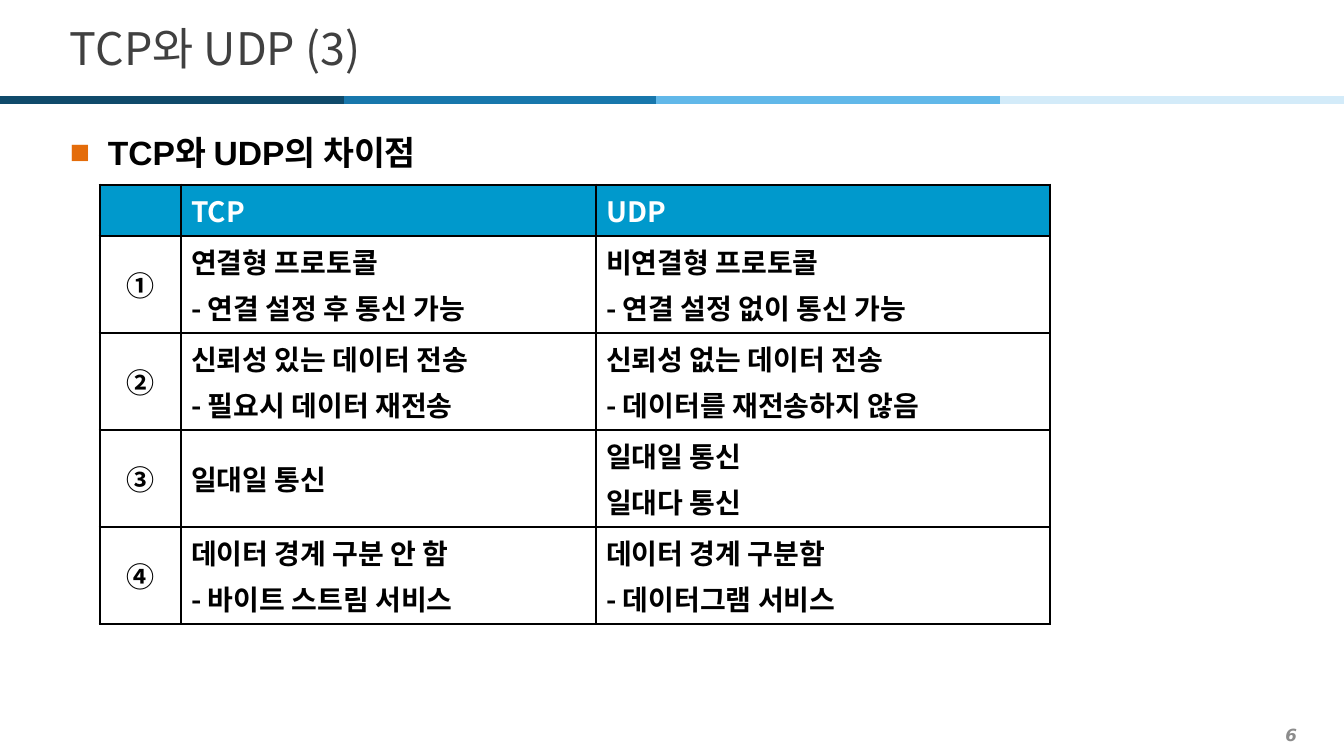
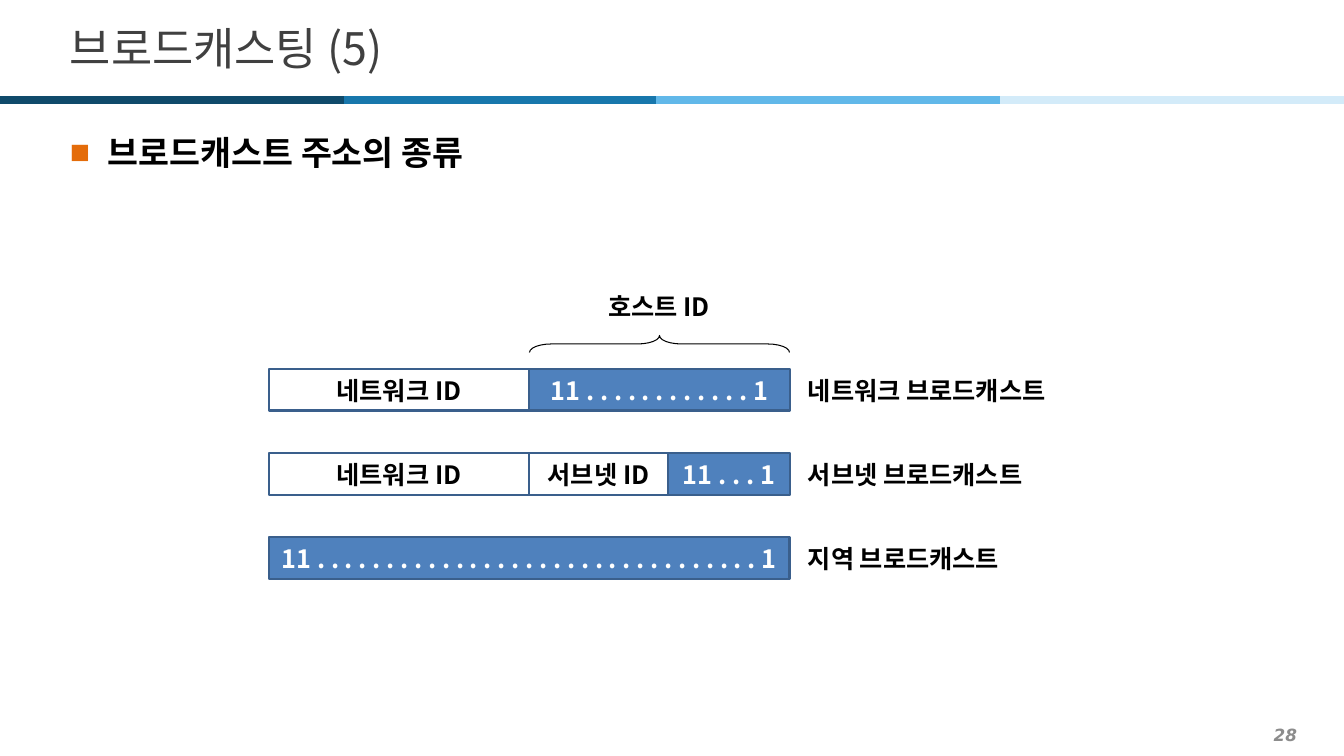
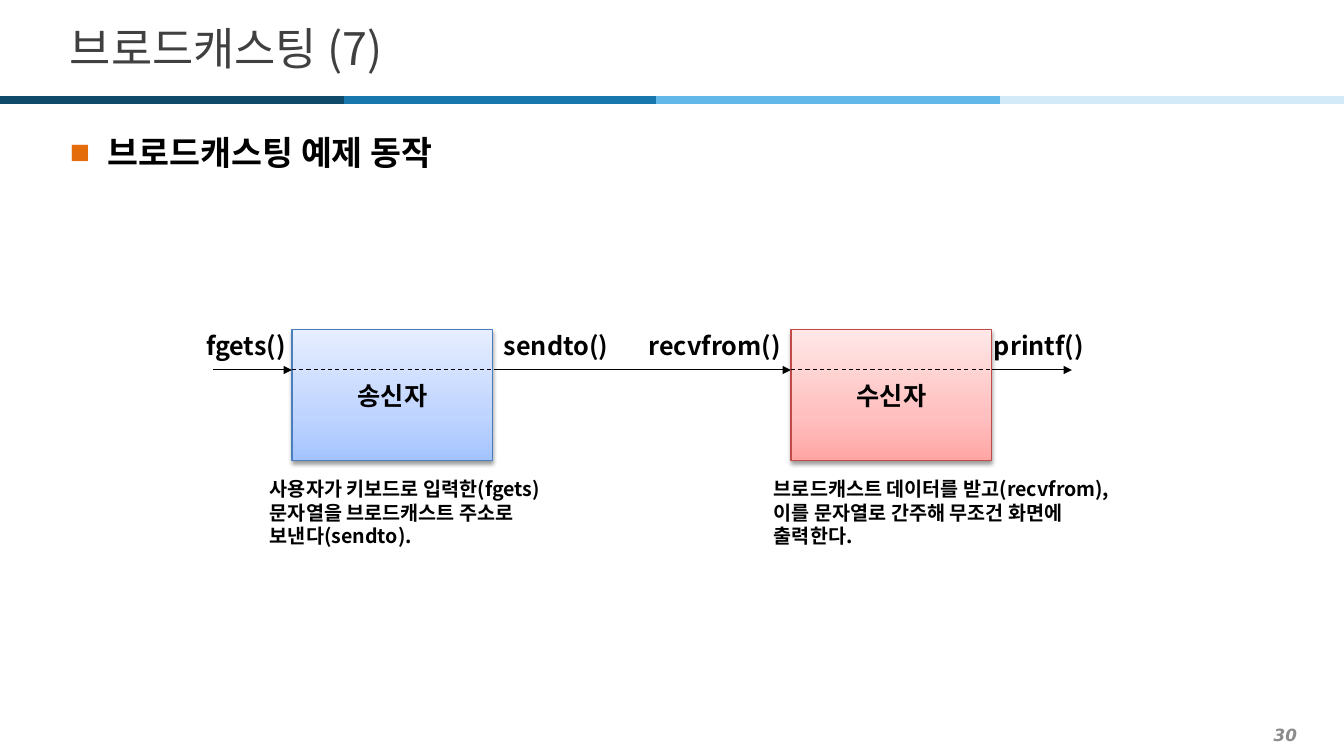
import pptx
import pptx.util
import pptx.dml.color
import pptx.enum.dml
import pptx.enum.shapes
import pptx.enum.text
import pptx.oxml.ns
import itertools
import lxml.etree

PX = 914400 / 100.8
NOTO = "Noto Sans CJK KR"
HUE = dict(
    ink="000000", white="FFFFFF", title="404040", page="8C8C8C", mark="E46C0A",
    head="0099CC", block="4F81BD", edge="3A5F8C",
)
BANDS = [(0, 344, "0F4A6B"), (344, 656, "1877AC"), (656, 1000, "61B8E9"), (1000, 1344, "D3EBF9")]
HEADS = [
    ("TCP와 UDP (3)", "TCP와 UDP의 차이점", "6"),
    ("브로드캐스팅 (5)", "브로드캐스트 주소의 종류", "28"),
    ("브로드캐스팅 (7)", "브로드캐스팅 예제 동작", "30"),
]
COLS = [81, 415, 454]
ROWS = [51, 97, 97, 97, 97]
CELLS = [
    ("", "TCP", "UDP"),
    ("①", "연결형 프로토콜\n- 연결 설정 후 통신 가능", "비연결형 프로토콜\n- 연결 설정 없이 통신 가능"),
    ("②", "신뢰성 있는 데이터 전송\n- 필요시 데이터 재전송", "신뢰성 없는 데이터 전송\n- 데이터를 재전송하지 않음"),
    ("③", "일대일 통신", "일대일 통신\n일대다 통신"),
    ("④", "데이터 경계 구분 안 함\n- 바이트 스트림 서비스", "데이터 경계 구분함\n- 데이터그램 서비스"),
]
CASTS = [
    ("네트워크 브로드캐스트", [(269, 529, "네트워크 ID"), (529, 790, "11 . . . . . . . . . . . . 1")]),
    ("서브넷 브로드캐스트", [(269, 529, "네트워크 ID"), (529, 668, "서브넷 ID"), (668, 790, "11 . . . 1")]),
    ("지역 브로드캐스트", [(269, 790, "11 " + ". " * 32 + "1")]),
]
HOSTS = [
    (292, "송신자", "4B7EBC", ["A4C4FF", "BFD4FF", "E6EEFF"], (260, 303),
     "사용자가 키보드로 입력한(fgets)\n문자열을 브로드캐스트 주소로\n보낸다(sendto)."),
    (791, "수신자", "BF4C48", ["FFA6A5", "FFC0BF", "FFE7E7"], (764, 362),
     "브로드캐스트 데이터를 받고(recvfrom),\n이를 문자열로 간주해 무조건 화면에\n출력한다."),
]
STOPS = [0, 35, 100]
CALLS = [(176, 140, "fgets()", "c"), (494, 140, "sendto()", "l"),
         (621, 170, "recvfrom()", "r"), (969, 140, "printf()", "c")]
STEPS = [213, 292, 494, 791, 992, 1072]
ALIGN = dict(l=pptx.enum.text.PP_ALIGN.LEFT, c=pptx.enum.text.PP_ALIGN.CENTER, r=pptx.enum.text.PP_ALIGN.RIGHT)
KIND = pptx.enum.shapes.MSO_SHAPE


def px(n):
    return round(n * PX)


def rgb(hue):
    return pptx.dml.color.RGBColor.from_string(HUE.get(hue, hue))


def node(up, tag, **attrs):
    return lxml.etree.SubElement(up, pptx.oxml.ns.qn("a:" + tag), {k: str(v) for k, v in attrs.items()})


def write(frame, text, size=18, hue="ink", font=NOTO, bold=True, slant=False,
          align="l", lead=None, above=None, below=None, bullet=None):
    for i, line in enumerate(text.split("\n")):
        para = frame.add_paragraph() if i else frame.paragraphs[0]
        para.alignment = ALIGN[align]
        para.line_spacing = lead
        if above:
            para.space_before = pptx.util.Pt(above)
        if below:
            para.space_after = pptx.util.Pt(below)
        if bullet:
            props = para._p.get_or_add_pPr()
            props.set("marL", str(px(38)))
            props.set("indent", str(px(-38)))
            node(node(props, "buClr"), "srgbClr", val=HUE["mark"])
            node(props, "buFont", typeface="Arial")
            node(props, "buChar", char=bullet)
        run = para.add_run()
        run.text = line
        face = run.font
        face.size = pptx.util.Pt(size)
        face.bold, face.italic, face.name = bold, slant, font
        face.color.rgb = rgb(hue)
        node(run._r.get_or_add_rPr(), "ea", typeface=NOTO)


def label(page, at, text, wrap=False, mid=True, **fmt):
    frame = page.shapes.add_textbox(*map(px, at)).text_frame
    frame.word_wrap = wrap
    frame.vertical_anchor = pptx.enum.text.MSO_ANCHOR.MIDDLE if mid else pptx.enum.text.MSO_ANCHOR.TOP
    write(frame, text, **fmt)


def shape(page, kind, at, edge, width, fill=None, text=None, **fmt):
    item = page.shapes.add_shape(kind, *map(px, at))
    item.shadow.inherit = False
    if fill:
        item.fill.solid()
        item.fill.fore_color.rgb = rgb(fill)
    else:
        item.fill.background()
    item.line.color.rgb = rgb(edge)
    item.line.width = pptx.util.Pt(width)
    if text:
        frame = item.text_frame
        frame.word_wrap = False
        frame.vertical_anchor = pptx.enum.text.MSO_ANCHOR.MIDDLE
        write(frame, text, align="c", **fmt)
    return item


def rule(page, left, right, y, hue="ink", width=0.75, dash=False, arrow=False):
    item = page.shapes.add_connector(pptx.enum.shapes.MSO_CONNECTOR.STRAIGHT, px(left), px(y), px(right), px(y))
    item.line.color.rgb = rgb(hue)
    item.line.width = pptx.util.Pt(width)
    if dash:
        item.line.dash_style = pptx.enum.dml.MSO_LINE.DASH
    if arrow:
        node(item.get_or_add_ln(), "tailEnd", type="triangle")
    node(item._element.spPr, "effectLst")


def start(deck, title, topic, number):
    page = deck.slides.add_slide(deck.slide_layouts[6])
    for left, right, hue in BANDS:
        rule(page, left, right, 100, hue, 6)
    label(page, (60, 13, 1230, 69), title, wrap=True, size=32, hue="title", bold=False)
    label(page, (60, 119, 1230, 608), topic, wrap=True, mid=False, size=24, font="Arial",
          lead=1.2, below=2, bullet="■")
    label(page, (20, 719, 1287, 31), number, wrap=True, size=12, hue="page", font="DejaVu Sans",
          slant=True, align="r")
    return page


def border(cell, sides):
    props = cell._tc.get_or_add_tcPr()
    for i, (side, thick) in enumerate(sides.items()):
        width = pptx.util.Pt(2.25 if thick else 1)
        line = lxml.etree.Element(pptx.oxml.ns.qn("a:ln" + side), w=str(int(width)), cap="flat", cmpd="sng")
        node(node(line, "solidFill"), "srgbClr", val=HUE["ink"])
        node(line, "prstDash", val="solid")
        props.insert(i, line)


def compare(page):
    grid = page.shapes.add_table(len(ROWS), len(COLS), px(100), px(185), px(sum(COLS)), px(sum(ROWS))).table
    grid.horz_banding = False
    for col, wide in zip(grid.columns, COLS):
        col.width = px(wide)
    for row, high in zip(grid.rows, ROWS):
        row.height = px(high)
    for r, c in itertools.product(range(len(ROWS)), range(len(COLS))):
        cell = grid.cell(r, c)
        cell.vertical_anchor = pptx.enum.text.MSO_ANCHOR.MIDDLE
        if r:
            cell.fill.background()
        else:
            cell.fill.solid()
            cell.fill.fore_color.rgb = rgb("head")
        border(cell, dict(L=c == 0, R=c == len(COLS) - 1, T=r == 0, B=r == len(ROWS) - 1))
        if CELLS[r][c]:
            write(cell.text_frame, CELLS[r][c], size=20, hue="ink" if r else "white",
                  align="l" if c else "c", above=4)


def address(page):
    label(page, (562, 285, 194, 42), "호스트 ID", align="c")
    brace = shape(page, KIND.LEFT_BRACE, (651, 214, 17, 260), "ink", 0.75)
    brace.rotation = 90
    brace.adjustments[0] = 1.29
    for i, (name, parts) in enumerate(CASTS):
        y = 369 + 84 * i
        for left, right, text in parts:
            ones = text.startswith("11")
            shape(page, KIND.RECTANGLE, (left, y, right - left, 42), "edge", 2,
                  "block" if ones else None, text, hue="white" if ones else "ink")
        label(page, (798, y, 277, 42), name)


def flow(page):
    for left, name, edge, tints, (x, wide), note in HOSTS:
        host = shape(page, KIND.RECTANGLE, (left, 330, 201, 131), edge, 0.75, None, name)
        host.fill.gradient()
        host.fill.gradient_angle = 90
        props = host._element.spPr
        stops = props.find(".//" + pptx.oxml.ns.qn("a:gsLst"))
        for old in list(stops):
            stops.remove(old)
        for at, tint in zip(STOPS, tints):
            node(node(stops, "gs", pos=at * 1000), "srgbClr", val=tint)
        shade = node(props.find(pptx.oxml.ns.qn("a:effectLst")), "outerShdw",
                     blurRad=40000, dist=20000, dir=5400000, rotWithShape=0)
        node(node(shade, "srgbClr", val=HUE["ink"]), "alpha", val=38000)
        label(page, (x, 479, wide, 67), note, size=14)
    for x, wide, text, align in CALLS:
        label(page, (x, 320, wide, 50), text, align=align)
    for i, (left, right) in enumerate(itertools.pairwise(STEPS)):
        rule(page, left, right, 370, dash=i % 2 == 1, arrow=i % 2 == 0)


def main():
    deck = pptx.Presentation()
    deck.slide_width, deck.slide_height = px(1344), px(756)
    for head, draw in zip(HEADS, (compare, address, flow)):
        draw(start(deck, *head))
    deck.save("out.pptx")


if __name__ == "__main__":
    main()
